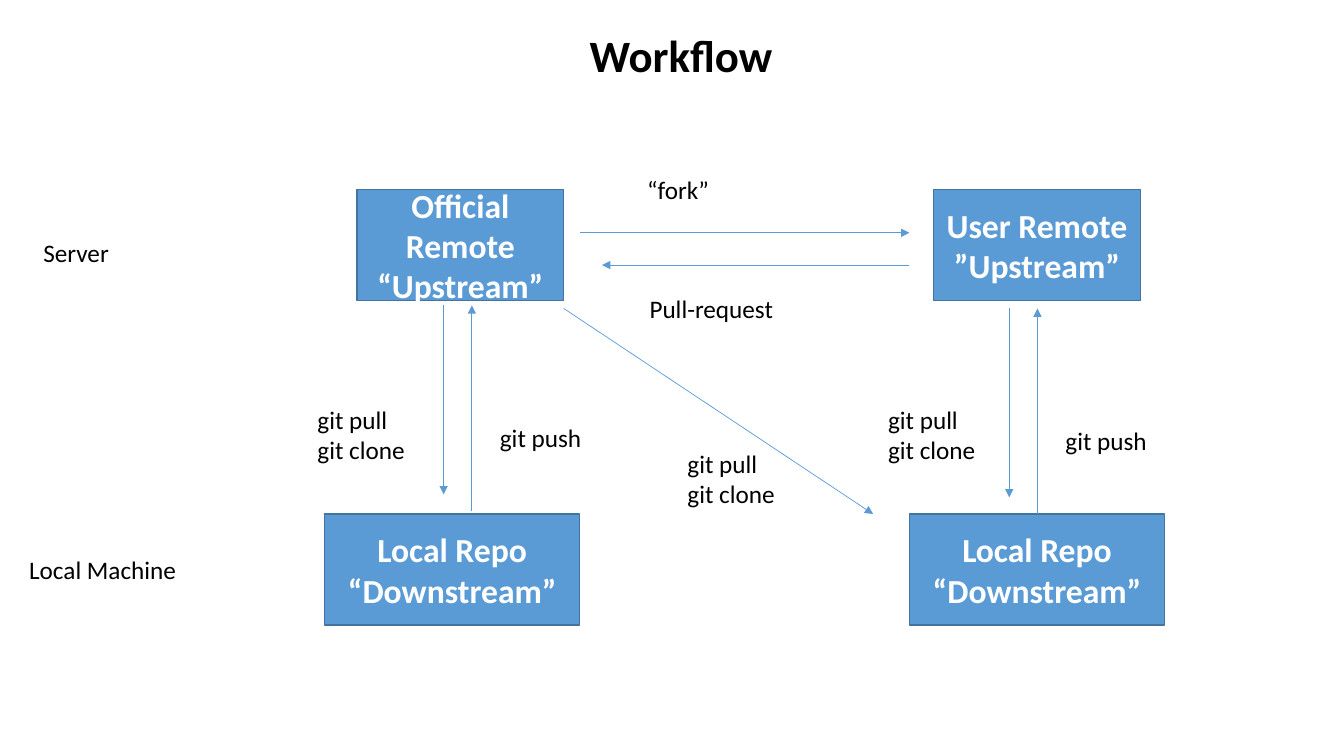
from lxml import etree
from pptx import Presentation
from pptx.dml.color import RGBColor
from pptx.enum.shapes import MSO_CONNECTOR, MSO_SHAPE
from pptx.enum.text import MSO_ANCHOR, MSO_AUTO_SIZE, PP_ALIGN
from pptx.oxml.ns import qn
from pptx.util import Inches, Pt

STRAIGHT = MSO_CONNECTOR.STRAIGHT
RECTANGLE = MSO_SHAPE.RECTANGLE
MIDDLE = MSO_ANCHOR.MIDDLE
GROW = MSO_AUTO_SIZE.SHAPE_TO_FIT_TEXT
LEFT, CENTER = PP_ALIGN.LEFT, PP_ALIGN.CENTER

COLORS = {"box": "5B9BD5", "border": "43739E", "text": "000000", "box_text": "FFFFFF"}
FONT = "Calibri"
SLIDE_WIDTH, SLIDE_HEIGHT = Inches(13.33), Inches(7.5)

REMOTE_ROW, LOCAL_ROW = 25.07, 68
REMOTE_WIDTH, LOCAL_WIDTH = 15.38, 18.98
BOX_HEIGHT = 14.67
LINE_HEIGHT = 5.33
PULL_COMMANDS = "git pull\ngit clone"
PULL_SIZE = (8.1, 9.47)


def across(percent):
    return round(SLIDE_WIDTH * percent / 100)


def down(percent):
    return round(SLIDE_HEIGHT * percent / 100)


def color(name):
    return RGBColor.from_string(COLORS[name])


def write(frame, text, size, color_name, bold, align):
    for index, line in enumerate(text.split("\n")):
        paragraph = frame.paragraphs[0] if index == 0 else frame.add_paragraph()
        paragraph.text = line
        paragraph.alignment = align
        paragraph.font.name = FONT
        paragraph.font.size = Pt(size)
        paragraph.font.bold = bold
        paragraph.font.color.rgb = color(color_name)


def add_label(slide, text, x, y, width, height=LINE_HEIGHT,
              size=18, bold=False, align=LEFT, wrap=False):
    label = slide.shapes.add_textbox(across(x), down(y), across(width), down(height))
    frame = label.text_frame
    frame.word_wrap = wrap
    frame.auto_size = GROW
    write(frame, text, size, "text", bold, align)


def add_repository(slide, text, x, y, width):
    repository = slide.shapes.add_shape(
        RECTANGLE, across(x), down(y), across(width), down(BOX_HEIGHT))
    repository.shadow.inherit = False
    repository.fill.solid()
    repository.fill.fore_color.rgb = color("box")
    repository.line.color.rgb = color("border")
    repository.line.width = Pt(1)
    frame = repository.text_frame
    frame.word_wrap = True
    frame.vertical_anchor = MIDDLE
    write(frame, text, 24, "box_text", True, CENTER)


def add_arrow(slide, x1, y1, x2, y2):
    arrow = slide.shapes.add_connector(
        STRAIGHT, across(x1), down(y1), across(x2), down(y2))
    arrow.line.color.rgb = color("box")
    arrow.line.width = Pt(0.5)
    etree.SubElement(arrow.line._get_or_add_ln(), qn("a:tailEnd"), type="triangle")
    etree.SubElement(arrow._element.spPr, qn("a:effectLst"))


def add_lane(slide, remote, remote_x, local_x, pull_x, pull_label_x, top):
    add_repository(slide, remote, remote_x, REMOTE_ROW, REMOTE_WIDTH)
    add_repository(slide, "Local Repo\n“Downstream”", local_x, LOCAL_ROW, LOCAL_WIDTH)
    push_x = pull_x + 2.1
    add_arrow(slide, pull_x, top, pull_x, top + 25)
    add_arrow(slide, push_x, top + 27.2, push_x, top)
    add_label(slide, PULL_COMMANDS, pull_label_x, 52.8, *PULL_SIZE)
    add_label(slide, "git push", push_x + 1.35, top + 14.8, 7.65)


def main():
    deck = Presentation()
    deck.slide_width, deck.slide_height = SLIDE_WIDTH, SLIDE_HEIGHT
    slide = deck.slides.add_slide(deck.slide_layouts[6])

    add_label(slide, "Workflow", 43.14, 3.07, 15.3, 8.53, size=32, bold=True)
    add_label(slide, "Server", 2.48, 30.8, 6.98)
    add_label(slide, "Local Machine", 1.43, 72.67, 12.6)

    add_lane(slide, "Official Remote\n“Upstream”", 26.56, 24.16, 33.01, 22.88, 40.4)
    add_lane(slide, "User Remote\n”Upstream”", 69.47, 67.67, 75.09, 65.34, 40.8)

    add_arrow(slide, 43.14, 30.8, 67.67, 30.8)
    add_label(slide, "“fork”", 47.41, 22.4, 6.15)
    add_arrow(slide, 67.67, 35.07, 44.79, 35.07)
    add_label(slide, "Pull-request", 46.29, 38.13, 13.28, align=CENTER, wrap=True)

    add_arrow(slide, 41.94, 40.8, 64.97, LOCAL_ROW)
    add_label(slide, PULL_COMMANDS, 50.41, 58.67, *PULL_SIZE)

    deck.save("out.pptx")


if __name__ == "__main__":
    main()
